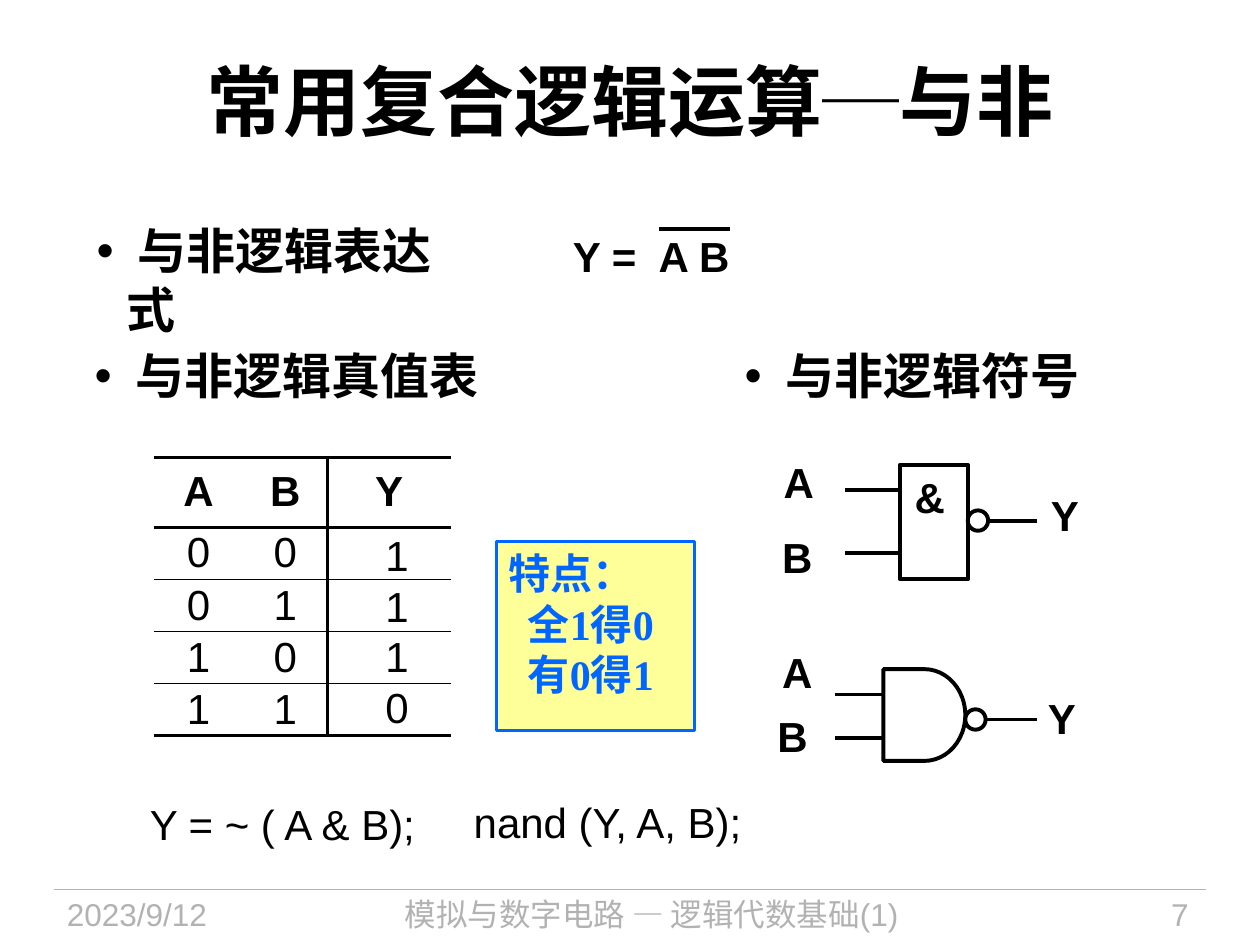
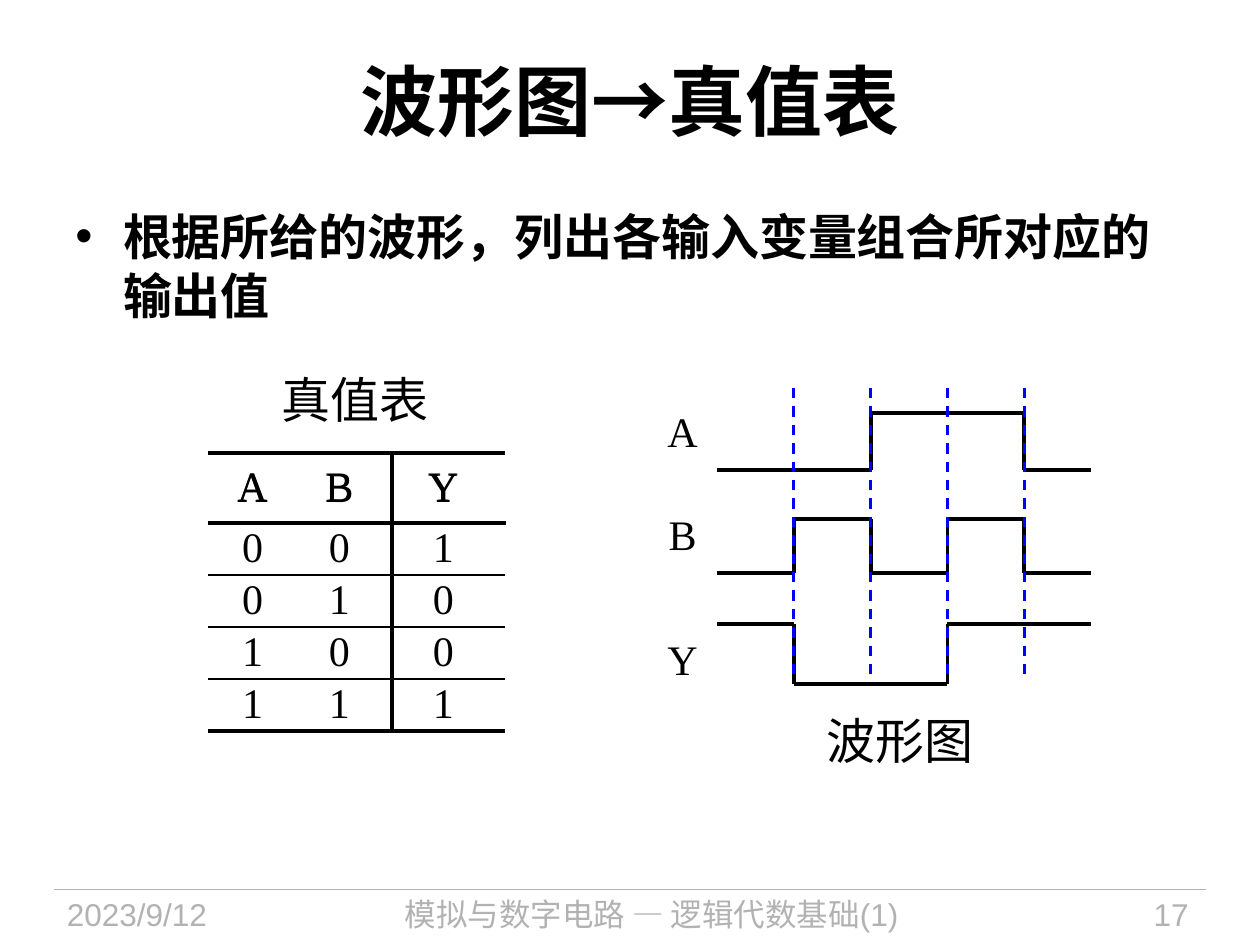
from itertools import groupby, pairwise, product

from lxml.etree import SubElement
from pptx import Presentation
from pptx.dml.color import RGBColor
from pptx.enum.dml import MSO_LINE
from pptx.enum.shapes import MSO_CONNECTOR, MSO_SHAPE
from pptx.enum.text import MSO_ANCHOR, MSO_AUTO_SIZE, PP_ALIGN
from pptx.oxml.ns import qn
from pptx.util import Cm, Pt

COLOURS = {
    "ink": "000000",
    "footer": "B2B2B2",
    "paper": "FFFFFF",
    "note": "FFFF99",
    "note_ink": "0066FF",
    "guide": "0000FF",
}
SANS, SERIF = "Arial", "Times New Roman"
LEFT, CENTER, RIGHT = PP_ALIGN.LEFT, PP_ALIGN.CENTER, PP_ALIGN.RIGHT
THICK, THIN = 2.25, 1

DATE = "2023/9/12"
COURSE = "模拟与数字电路 — 逻辑代数基础(1)"

NAND_TITLE = [("常用复合逻辑运算", SANS), ("─", SERIF), ("与非", SANS)]
NAND_POINTS = [
    (" 与非逻辑表达式", (1.95, 4.45, 7.57, 1.2), LEFT, 1.0),
    (" 与非逻辑真值表", (1.91, 7.09, 8.76, 1.07), LEFT, 0.9),
    (" 与非逻辑符号", (14.71, 7.09, 7.34, 1.07), CENTER, 0.9),
]
NAND_INPUTS = ["ABY", "00", "01", "10", "11"]
NAND_OUTPUTS = ["1", "1", "1", "0"]
NAND_NOTE = [("特点：", 0), ("全1得0", 0.38), ("有0得1", 0.38)]
NAND_CODE = [
    ("Y = ~ ( A & B);", (2.77, 15.97, 5.89, 1.3)),
    ("nand (Y, A, B);", (9.3, 15.93, 5.97, 1.27)),
]
GATES = [
    {
        "shape": MSO_SHAPE.RECTANGLE,
        "body": (18.14, 9.37, 1.37, 2.31),
        "input_start": 17.04,
        "input_heights": (9.88, 11.15),
        "bubble_top": 10.29,
        "labels": [("A", 15.8, 9.32), ("B", 15.77, 10.82),
                   ("Y", 21.16, 9.98), ("&", 18.44, 9.63)],
    },
    {
        "shape": MSO_SHAPE.FLOWCHART_DELAY,
        "body": (17.81, 13.49, 1.65, 1.85),
        "input_start": 16.84,
        "input_heights": (14.0, 14.88),
        "bubble_top": 14.3,
        "labels": [("A", 15.77, 13.15), ("B", 15.67, 14.44), ("Y", 21.1, 14.07)],
    },
]
BUBBLE, OUTPUT_END = 0.41, 20.9

WAVE_TITLE = [("波形图→真值表", SANS)]
WAVE_POINT = "根据所给的波形，列出各输入变量组合所对应的输出值"
WAVE_FRAME = ["ABY", "", "", "", ""]
WAVE_VALUES = ["001", "010", "100", "111"]
WAVE_CAPTIONS = [
    ("真值表", (5.41, 7.32, 3.48, 1.45)),
    ("波形图", (15.95, 14.2, 4.39, 1.45)),
]
SIGNALS = [
    ("A", 8.05, (8.33, 9.47), "00110"),
    ("B", 10.13, (10.46, 11.56), "01010"),
    ("Y", 12.65, (12.57, 13.79), "10011"),
]
WAVE_START, WAVE_STEP, WAVE_END = 14.45, 1.55, 22.0
GUIDE_TOP, GUIDE_BOTTOM = 7.82, 13.69

COLUMN_WIDTHS = (1.8, 1.7, 2.49)
ROW_HEIGHT = 1.05
FRAME_HEIGHTS = [1.41] + [ROW_HEIGHT] * 4


def colour(name):
    return RGBColor.from_string(COLOURS[name])


def style_font(font, size, name=SANS, bold=False, ink="ink"):
    font.size, font.bold = Pt(size), bold
    font.color.rgb = colour(ink)
    if name:
        font.name = name


def set_insets(frame, horizontal=0, vertical=0):
    frame.margin_left = frame.margin_right = Cm(horizontal)
    frame.margin_top = frame.margin_bottom = Cm(vertical)


def place(shape, box):
    shape.left, shape.top, shape.width, shape.height = map(Cm, box)


def set_indent(para, margin, first=0):
    properties = para._p.get_or_add_pPr()
    properties.set("marL", str(Cm(margin)))
    properties.set("indent", str(Cm(first)))
    return properties


def add_label(page, text, box, size=24, align=LEFT, name=SANS, bold=False,
              ink="ink", insets=(0.25, 0.13), wrap=False, spacing=1.0, tab=None):
    frame = page.shapes.add_textbox(*map(Cm, box)).text_frame
    frame.word_wrap = wrap
    set_insets(frame, *insets)
    para = frame.paragraphs[0]
    para.text, para.alignment, para.line_spacing = text, align, spacing
    if tab:
        stops = SubElement(para._p.get_or_add_pPr(), qn("a:tabLst"))
        SubElement(stops, qn("a:tab"), pos=str(Cm(tab)), algn="l")
    style_font(para.font, size, name, bold, ink)


def add_line(page, x1, y1, x2, y2, ink="ink", width=THICK, dash=None):
    line = page.shapes.add_connector(MSO_CONNECTOR.STRAIGHT, *map(Cm, (x1, y1, x2, y2)))
    line.line.color.rgb, line.line.width = colour(ink), Pt(width)
    if dash:
        line.line.dash_style = dash
    SubElement(line._element.spPr, qn("a:effectLst"))


def add_outline(page, kind, box, fill=None, ink="ink", width=THICK):
    shape = page.shapes.add_shape(kind, *map(Cm, box))
    shape.shadow.inherit = False
    if fill:
        shape.fill.solid()
        shape.fill.fore_color.rgb = colour(fill)
    else:
        shape.fill.background()
    if width:
        shape.line.color.rgb, shape.line.width = colour(ink), Pt(width)
    else:
        shape.line.fill.background()
    return shape


def add_card(page, lines, box, fill, ink, width, name, bold):
    card = add_outline(page, MSO_SHAPE.RECTANGLE, box, fill, ink, width)
    frame = card.text_frame
    frame.word_wrap, frame.vertical_anchor = False, MSO_ANCHOR.TOP
    for i, (text, margin) in enumerate(lines):
        para = frame.add_paragraph() if i else frame.paragraphs[0]
        para.text, para.alignment = text, LEFT
        set_indent(para, margin)
        style_font(para.font, 24, name, bold, ink)


def add_bullet(body, text, box, indent, align=LEFT, spacing=1.0):
    place(body, box)
    frame = body.text_frame
    frame.auto_size, frame.word_wrap = MSO_AUTO_SIZE.NONE, True
    frame.vertical_anchor = MSO_ANCHOR.TOP
    set_insets(frame)
    para = frame.paragraphs[0]
    para.text, para.alignment = text, align
    properties = set_indent(para, indent, -indent)
    SubElement(properties, qn("a:buFont"), typeface=SANS)
    SubElement(properties, qn("a:buChar"), char="•")
    para.line_spacing, para.space_before = spacing, Pt(0)
    style_font(para.font, 28, bold=True)


def add_page(deck, layout, title, number):
    page = deck.slides.add_slide(deck.slide_layouts[layout])
    place(page.shapes.title, (1.27, 0.42, 22.86, 3.18))
    frame = page.shapes.title.text_frame
    frame.vertical_anchor = MSO_ANCHOR.MIDDLE
    para = frame.paragraphs[0]
    para.alignment = CENTER
    style_font(para.font, 44, None, bold=True)
    for text, name in title:
        span = para.add_run()
        span.text, span.font.name = text, name
    add_line(page, 1.09, 17.93, 24.31, 17.93, "footer", 0.75)
    for text, left, width, align in [(DATE, 1.1, 4.78, LEFT),
                                     (COURSE, 6.33, 13.61, CENTER),
                                     (number, 20.83, 3.38, RIGHT)]:
        add_label(page, text, (left, 17.92, width, 1.12), 18, align,
                  ink="footer", wrap=True)
    return page


def set_borders(cell, **widths):
    properties = cell._tc.get_or_add_tcPr()
    for side in "LRTB":
        width = widths.get(side, 0)
        border = SubElement(properties, qn(f"a:ln{side}"), w=str(Pt(width)))
        if width:
            fill = SubElement(border, qn("a:solidFill"))
            SubElement(fill, qn("a:srgbClr"), val=COLOURS["ink"])
        else:
            SubElement(border, qn("a:noFill"))


def add_grid(page, rows, left, top, widths, heights, name, bold_header=False,
             rules=None, divider=0, inset=0):
    table = page.shapes.add_table(len(rows), len(widths), Cm(left), Cm(top),
                                  Cm(sum(widths)), Cm(sum(heights))).table
    table.first_row = table.horz_banding = False
    for column, width in zip(table.columns, widths):
        column.width = Cm(width)
    for row, height in zip(table.rows, heights):
        row.height = Cm(height)
    rules = rules or [0] * (len(rows) + 1)
    for r, c in product(range(len(rows)), range(len(widths))):
        cell = table.cell(r, c)
        set_borders(cell, T=rules[r], B=rules[r + 1],
                    L=divider if c == 2 else 0, R=divider if c == 1 else 0)
        cell.fill.background()
        cell.vertical_anchor = MSO_ANCHOR.MIDDLE
        set_insets(cell, inset)
        para = cell.text_frame.paragraphs[0]
        para.text, para.alignment = rows[r][c:c + 1], CENTER
        style_font(para.font, 24, name, bold_header and r == 0)


def add_gate(page, gate):
    left, top, width, height = gate["body"]
    for y in gate["input_heights"]:
        add_line(page, gate["input_start"], y, left, y)
    add_outline(page, gate["shape"], gate["body"])
    bubble_left, bubble_top = left + width, gate["bubble_top"]
    output_y = bubble_top + BUBBLE / 2
    add_line(page, bubble_left + BUBBLE, output_y, OUTPUT_END, output_y)
    add_outline(page, MSO_SHAPE.OVAL, (bubble_left, bubble_top, BUBBLE, BUBBLE), "paper")
    for text, x, y in gate["labels"]:
        add_label(page, text, (x, y, 0.61, 0.91), align=CENTER, bold=True,
                  insets=(0, 0), spacing=0.9)


def add_signal(page, name, label_top, heights, levels):
    add_label(page, name, (13.2, label_top, 1.12, 1.27), align=CENTER, name=SERIF)
    high, low = heights
    edges = [WAVE_START + WAVE_STEP * i for i in range(len(levels))] + [WAVE_END]
    points, position = [], 0
    for level, run in groupby(levels):
        y = high if level == "1" else low
        end = position + len(list(run))
        points += [(edges[position], y), (edges[end], y)]
        position = end
    for start, stop in pairwise(points):
        add_line(page, *start, *stop)


def build_nand(deck):
    page = add_page(deck, 4, NAND_TITLE, "7")
    for i, (text, box, align, spacing) in enumerate(NAND_POINTS, 1):
        add_bullet(page.placeholders[i], text, box, 0.6, align, spacing)
    unused = page.placeholders[4]._element
    unused.getparent().remove(unused)
    add_label(page, "Y =\tA B", (11.3, 4.52, 6.6, 1.27), bold=True, wrap=True, tab=1.73)
    add_line(page, 13.28, 4.62, 14.71, 4.62)
    for gate in GATES:
        add_gate(page, gate)
    add_grid(page, NAND_INPUTS, 3.1, 9.22, COLUMN_WIDTHS, FRAME_HEIGHTS, SANS, True,
             [THICK, THICK, THIN, THIN, THIN, THICK], THICK)
    add_card(page, NAND_NOTE, (10.01, 10.92, 3.99, 3.81), "note", "note_ink",
             1.5, SERIF, True)
    add_grid(page, NAND_OUTPUTS, 6.81, 10.72, [2.39], [1.02] * 4, SANS, inset=0.25)
    for text, box in NAND_CODE:
        add_card(page, [(text, 0)], box, "paper", "ink", 0, SANS, False)


def build_waveform(deck):
    page = add_page(deck, 1, WAVE_TITLE, "17")
    add_bullet(page.placeholders[1], WAVE_POINT, (1.52, 4.16, 22.35, 3.0), 0.96)
    for text, box in WAVE_CAPTIONS:
        add_label(page, text, box, 28, CENTER, SERIF)
    for top in (9.14, 9.12):
        add_grid(page, WAVE_FRAME, 4.19, top, COLUMN_WIDTHS, FRAME_HEIGHTS, SERIF,
                 rules=[THICK, THIN, THIN, THIN, THIN, THICK])
    add_line(page, 7.9, 14.73, 7.9, 9.14)
    add_line(page, 4.19, 10.54, 10.21, 10.54)
    for signal in SIGNALS:
        add_signal(page, *signal)
    for i in range(1, 5):
        x = WAVE_START + WAVE_STEP * i
        add_line(page, x, GUIDE_TOP, x, GUIDE_BOTTOM, "guide", 1.5, MSO_LINE.DASH)
    add_grid(page, WAVE_VALUES, 4.19, 10.52, COLUMN_WIDTHS, [ROW_HEIGHT] * 4, SERIF)


def main():
    deck = Presentation()
    deck.slide_width, deck.slide_height = Cm(25.4), Cm(19.05)
    build_nand(deck)
    build_waveform(deck)
    deck.save("out.pptx")


if __name__ == "__main__":
    main()
